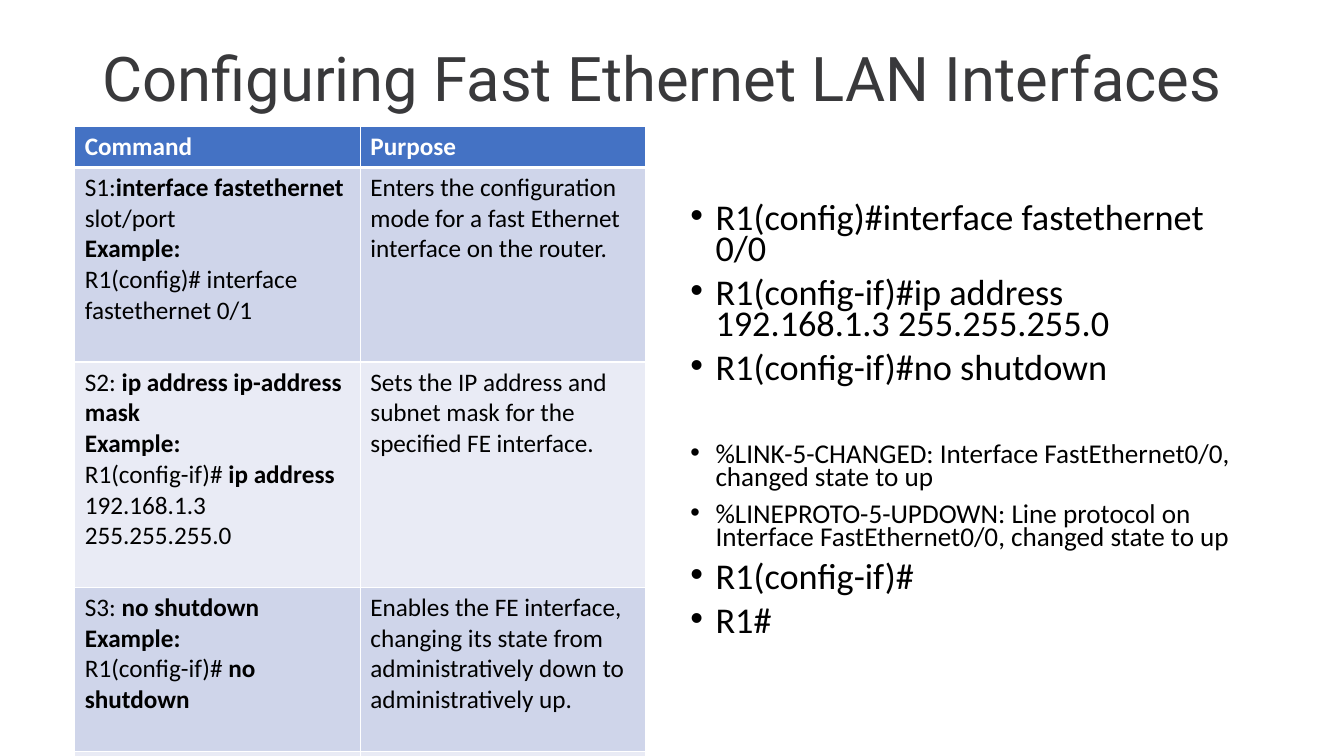
from dataclasses import dataclass

from lxml import etree
from pptx import Presentation
from pptx import util as u
from pptx.dml import color
from pptx.enum import text
from pptx.oxml import ns


@dataclass(frozen=True)
class Theme:
    title_font: str = "Roboto"
    body_font: str = "Calibri"
    title: str = "39393B"
    ink: str = "000000"
    white: str = "FFFFFF"
    header: str = "4472C4"
    bands: tuple[str, str] = ("CFD5EA", "E9EBF5")
    title_size: float = 44
    table_size: float = 18
    command_size: float = 25.9
    log_size: float = 19.4


@dataclass(frozen=True)
class Run:
    text: str
    bold: bool = False


@dataclass(frozen=True)
class Step:
    """A table row: the paragraphs of its command, its purpose and its height."""
    command: list[list[Run]]
    purpose: str
    height: float


@dataclass(frozen=True)
class Bullet:
    text: str
    size: float
    before: float = 10


T = Theme()
EXAMPLE = [Run("Example:", True)]
STEPS = [
    Step([[Run("S1:"), Run("interface fastethernet ", True), Run("slot/port")],
          EXAMPLE,
          [Run("R1(config)# interface fastethernet 0/1")]],
         "Enters the configuration mode for a fast Ethernet interface on the router.", 139),
    Step([[Run("S2: "), Run("ip address ip-address mask", True)],
          EXAMPLE,
          [Run("R1(config-if)# "), Run("ip address ", True), Run("192.168.1.3 255.255.255.0")]],
         "Sets the IP address and subnet mask for the specified FE interface.", 161),
    Step([[Run("S3: "), Run("no shutdown", True)],
          EXAMPLE,
          [Run("R1(config-if)# "), Run("no shutdown", True)]],
         "Enables the FE interface, changing its state from administratively down to "
         "administratively up.", 117),
    Step([], "", 29.2),
]
BULLETS = [
    Bullet("R1(config)#interface fastethernet 0/0", T.command_size),
    Bullet("R1(config-if)#ip address 192.168.1.3 255.255.255.0", T.command_size),
    Bullet("R1(config-if)#no shutdown", T.command_size),
    Bullet("%LINK-5-CHANGED: Interface FastEthernet0/0, changed state to up", T.log_size, 42),
    Bullet("%LINEPROTO-5-UPDOWN: Line protocol on Interface FastEthernet0/0, "
           "changed state to up", T.log_size),
    Bullet("R1(config-if)#", T.command_size),
    Bullet("R1#", T.command_size),
]


def write(p, words: str, *, size: float, font: str = T.body_font,
          ink: str = T.ink, bold: bool = False) -> None:
    r = p.add_run()
    r.text = words
    r.font.name, r.font.size, r.font.bold = font, u.Pt(size), bold
    r.font.color.rgb = color.RGBColor.from_string(ink)


def add_box(s, left: float, top: float, width: float, height: float):
    tf = s.shapes.add_textbox(u.Pt(left), u.Pt(top), u.Pt(width), u.Pt(height)).text_frame
    tf.word_wrap = True
    tf.vertical_anchor = text.MSO_ANCHOR.TOP
    return tf


def next_paragraph(tf, index: int):
    return tf.paragraphs[0] if index == 0 else tf.add_paragraph()


def style_cell(cell, fill: str, top: float = 1, bottom: float = 1) -> None:
    """Give the cell white borders and a solid fill."""
    tc_pr = cell._tc.get_or_add_tcPr()
    for side, width in (("lnL", 1), ("lnR", 1), ("lnT", top), ("lnB", bottom)):
        ln = etree.SubElement(tc_pr, ns.qn(f"a:{side}"), w=str(u.Pt(width)))
        solid = etree.SubElement(ln, ns.qn("a:solidFill"))
        etree.SubElement(solid, ns.qn("a:srgbClr"), val=T.white)
    cell.fill.solid()
    cell.fill.fore_color.rgb = color.RGBColor.from_string(fill)


def add_title(s) -> None:
    tf = add_box(s, 66, 28.8, 828, 104.4)
    tf.margin_top = u.Pt(6)
    p = tf.paragraphs[0]
    p.line_spacing = 0.9
    write(p, "Configuring Fast Ethernet LAN Interfaces",
          size=T.title_size, font=T.title_font, ink=T.title)


def add_command_table(s) -> None:
    heights = [29.2] + [step.height for step in STEPS]
    table = s.shapes.add_table(len(heights), 2, u.Pt(53.4), u.Pt(90.4),
                               u.Pt(408), u.Pt(sum(heights))).table
    for row, height in zip(table.rows, heights):
        row.height = u.Pt(height)
    for col, heading in enumerate(("Command", "Purpose")):
        cell = table.cell(0, col)
        style_cell(cell, T.header, bottom=3)
        write(cell.text_frame.paragraphs[0], heading,
              size=T.table_size, ink=T.white, bold=True)
    for row, step in enumerate(STEPS, start=1):
        purpose = [[Run(step.purpose)]] if step.purpose else []
        for col, paragraphs in enumerate((step.command, purpose)):
            cell = table.cell(row, col)
            style_cell(cell, T.bands[(row - 1) % 2], top=3 if row == 1 else 1)
            for i, runs in enumerate(paragraphs):
                p = next_paragraph(cell.text_frame, i)
                for run in runs:
                    write(p, run.text, size=T.table_size, bold=run.bold)


def add_bullets(s) -> None:
    tf = add_box(s, 486, 144, 408, 342.7)
    for i, bullet in enumerate(BULLETS):
        p = next_paragraph(tf, i)
        p.line_spacing = 0.7
        p.space_before = u.Pt(bullet.before)
        p_pr = p._p.get_or_add_pPr()
        p_pr.set("marL", str(u.Pt(18)))
        p_pr.set("indent", str(-u.Pt(18)))
        etree.SubElement(p_pr, ns.qn("a:buFont"), typeface="Arial")
        etree.SubElement(p_pr, ns.qn("a:buChar"), char="•")
        write(p, bullet.text, size=bullet.size)


def main() -> None:
    prs = Presentation()
    prs.slide_width, prs.slide_height = u.Pt(960), u.Pt(540)
    s = prs.slides.add_slide(prs.slide_layouts[6])
    add_title(s)
    add_command_table(s)
    add_bullets(s)
    prs.save("out.pptx")


if __name__ == "__main__":
    main()
